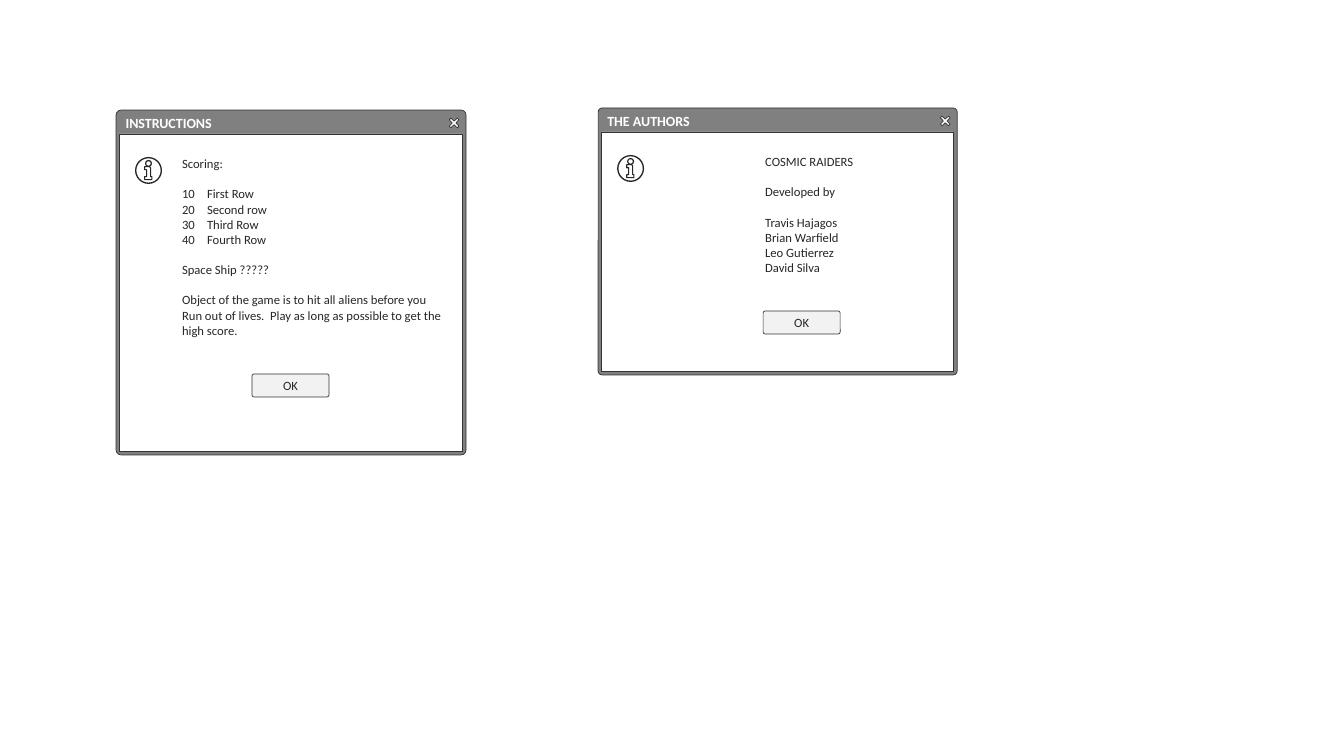
"""Builds a slide with two game dialogs: instructions and authors."""
from lxml.etree import SubElement
from pptx import Presentation
from pptx.dml.color import RGBColor
from pptx.enum.shapes import MSO_SHAPE
from pptx.enum.text import MSO_ANCHOR, PP_ALIGN
from pptx.oxml.ns import qn
from pptx.util import Inches, Pt

SCALE = Inches(1) / 100.8
INK, EDGE, GRAY, PALE, WHITE = "262626", "333333", "808080", "F2F2F2", "FFFFFF"
CROSS = [(2, 18), (32, 50), (2, 82), (18, 98), (50, 68), (82, 98),
         (98, 82), (68, 50), (98, 18), (82, 2), (50, 32), (18, 2)]
STEM = [(96, 96), (144, 96), (155, 108), (155, 196), (168, 196), (168, 226),
        (96, 226), (96, 196), (116, 196), (116, 128), (96, 128)]


def px(count):
    return round(count * SCALE)


def color(code):
    return RGBColor.from_string(code)


class Sketch:
    """Holds the style and the current slide."""

    font = "Calibri"
    gap = Pt(10.8)

    def __init__(self, slide):
        self.slide = slide

    def paint(self, shape, fill, line, width=0.5):
        shape.shadow.inherit = False
        if fill:
            shape.fill.solid()
            shape.fill.fore_color.rgb = color(fill)
        else:
            shape.fill.background()
        if line:
            shape.line.color.rgb = color(line)
            shape.line.width = Pt(width)
        else:
            shape.line.fill.background()
        return shape

    def shape(self, kind, box, fill, line=None, adjust=None):
        item = self.slide.shapes.add_shape(kind, *map(px, box))
        if adjust is not None:
            item.adjustments[0] = adjust
        return self.paint(item, fill, line)

    def outline(self, points, left, top, fill, line, width):
        start, *rest = points
        pen = self.slide.shapes.build_freeform(*start, scale=SCALE / 10)
        pen.add_line_segments(rest, close=True)
        item = pen.convert_to_shape(px(left), px(top))
        return self.paint(item, fill, line, width)

    def style(self, para, size=9, ink=INK, bold=False, align=PP_ALIGN.LEFT):
        para.alignment = align
        for run in para.runs:
            run.font.name, run.font.size, run.font.bold = self.font, Pt(size), bold
            run.font.color.rgb = color(ink)

    def inset(self, frame, side, edge):
        frame.word_wrap = True
        frame.margin_left = frame.margin_right = px(side)
        frame.margin_top = frame.margin_bottom = px(edge)

    def text(self, box, blocks, indent=0):
        frame = self.slide.shapes.add_textbox(*map(px, box)).text_frame
        self.inset(frame, 8, 4)
        rows = [(row, i == 0 and n > 0) for n, block in enumerate(blocks)
                for i, row in enumerate(block)]
        frame.text = "\n".join(row[1] if type(row) is tuple else row
                               for row, _ in rows)
        for para, (row, first) in zip(frame.paragraphs, rows):
            self.style(para)
            para.space_before = self.gap if first else Pt(0)
            props = para._p.get_or_add_pPr()
            props.set("marL", str(px(indent)))
            if type(row) is tuple:
                props.set("marL", str(px(25)))
                props.set("indent", str(-px(25)))
                SubElement(props, qn("a:buAutoNum"), type="arabicPlain",
                           startAt=str(row[0]))

    def button(self, left, top):
        item = self.shape(MSO_SHAPE.ROUNDED_RECTANGLE, (left, top, 77, 23),
                          PALE, EDGE, 0.09)
        frame = item.text_frame
        frame.text = "OK"
        frame.vertical_anchor = MSO_ANCHOR.MIDDLE
        self.style(frame.paragraphs[0], align=PP_ALIGN.CENTER)

    def icon(self, left, top):
        self.shape(MSO_SHAPE.DONUT, (left, top, 27, 27), INK, adjust=0.05)
        self.shape(MSO_SHAPE.DONUT, (left + 10, top + 3, 7, 7), INK, adjust=0.18)
        self.outline(STEM, left, top, None, INK, 0.75)

    def dialog(self, box, title, blocks, button, indent=0):
        left, top, wide, high = box
        panel = self.shape(MSO_SHAPE.ROUNDED_RECTANGLE, box, GRAY, EDGE, 0.015)
        frame = panel.text_frame
        self.inset(frame, 8, 3)
        frame.text = title
        frame.vertical_anchor = MSO_ANCHOR.TOP
        self.style(frame.paragraphs[0], 10, WHITE, True)
        self.shape(MSO_SHAPE.RECTANGLE,
                   (left + 3, top + 24, wide - 7, high - 28), WHITE, EDGE)
        self.outline(CROSS, left + wide - 17, top + 8, WHITE, EDGE, 0.5)
        self.text((left + 58, top + 42, wide - 70, high - 86), blocks, indent)
        self.button(*button)
        self.icon(left + 19, top + 47)


deck = Presentation()
deck.slide_width, deck.slide_height = Inches(13.33), Inches(7.5)
sketch = Sketch(deck.slides.add_slide(deck.slide_layouts[6]))
scores = [(10, "First Row"), (20, "Second row"),
          (30, "Third Row"), (40, "Fourth Row")]
goal = ["Object of the game is to hit all aliens before you",
        "Run out of lives.  Play as long as possible to get the high score."]
names = ["Travis Hajagos", "Brian Warfield", "Leo Gutierrez", "David Silva"]
sketch.dialog((116, 110, 350, 345), "INSTRUCTIONS",
              [["Scoring:"], scores, ["Space Ship ?????"], goal], (252, 374))
sketch.dialog((598, 108, 359, 267), "THE AUTHORS",
              [["COSMIC RAIDERS"], ["Developed by"], names], (763, 311), 101)
deck.save("out.pptx")
